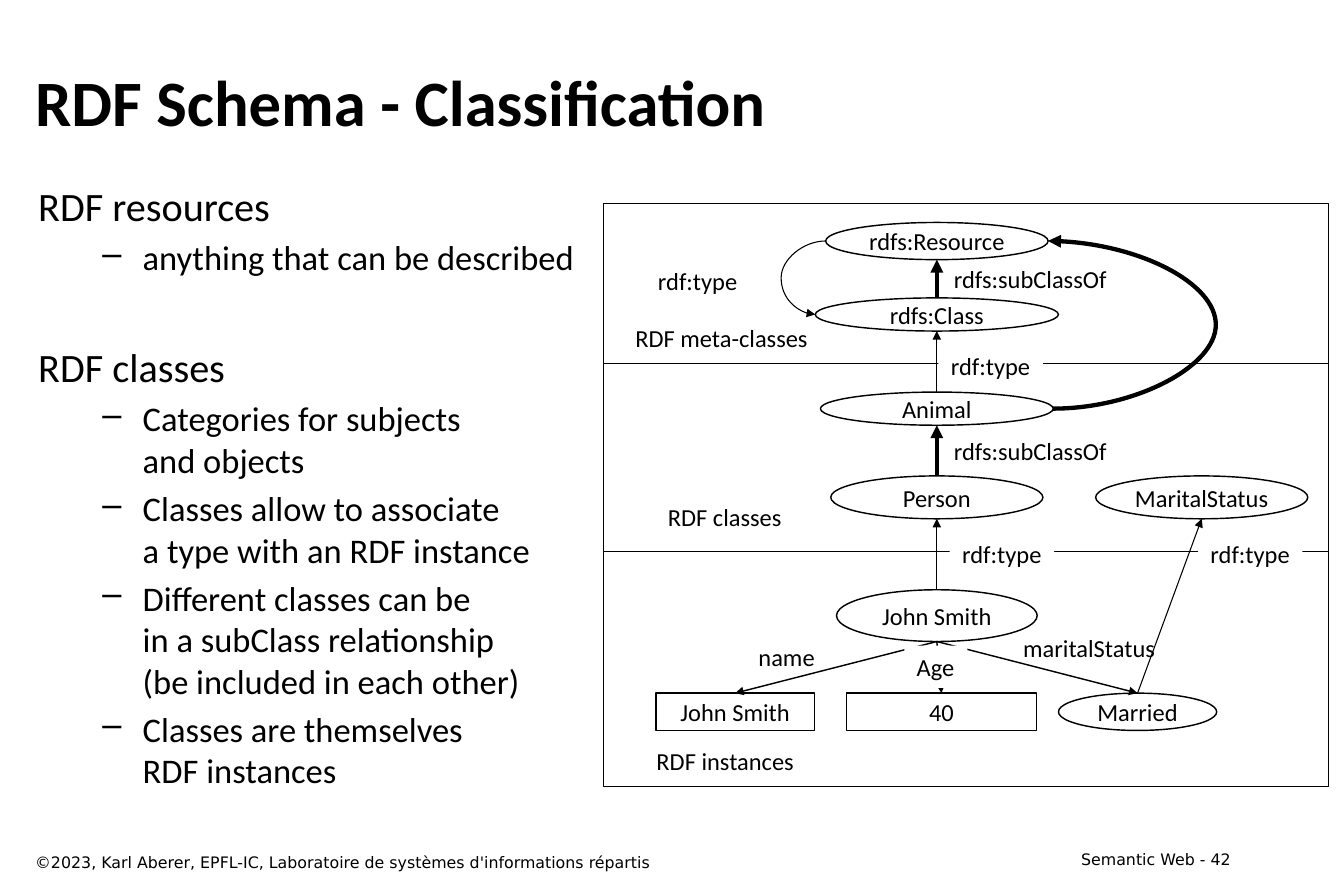
from collections import namedtuple
from dataclasses import dataclass

from lxml import etree
from pptx import Presentation
from pptx import util as u
from pptx.dml.color import RGBColor
from pptx.enum import shapes, text
from pptx.oxml import ns

Node = namedtuple("Node", "shape top bottom left right")


@dataclass(frozen=True)
class Theme:
    ink: RGBColor = RGBColor(0, 0, 0)
    paper: RGBColor = RGBColor(255, 255, 255)
    face: str = "Calibri"
    footer_face: str = "DejaVu Sans"
    title: int = 45
    heading: int = 28
    item: int = 24
    diagram: int = 17
    footer: int = 11
    thin: float = 0.75
    outline: float = 1
    thick: float = 3


class DiagramPage:
    """Draws styled elements on one slide, measured on a 120 by 80 grid."""

    def __init__(self, deck, theme):
        self.theme = theme
        self.column = deck.slide_width / 120
        self.row = deck.slide_height / 80
        self.page = deck.slides.add_slide(deck.slide_layouts[6])

    def cols(self, count):
        return u.Emu(round(count * self.column))

    def rows(self, count):
        return u.Emu(round(count * self.row))

    def area(self, left, top, width, height):
        return self.cols(left), self.rows(top), self.cols(width), self.rows(height)

    def frame(self, shape, wrap, anchor):
        frame = shape.text_frame
        frame.word_wrap = wrap
        frame.vertical_anchor = anchor
        frame.margin_left = frame.margin_right = u.Inches(0.12)
        frame.margin_top = frame.margin_bottom = u.Inches(0.06)
        return frame

    def style(self, para, size, face=None, bold=False, align=text.PP_ALIGN.LEFT):
        para.alignment = align
        para.font.size = u.Pt(size)
        para.font.name = face or self.theme.face
        para.font.bold = bold
        para.font.color.rgb = self.theme.ink

    def text(self, words, area, size, wrap=True, anchor=text.MSO_ANCHOR.TOP, fill=False, **look):
        box = self.page.shapes.add_textbox(*self.area(*area))
        if fill:
            box.fill.solid()
            box.fill.fore_color.rgb = self.theme.paper
        para = self.frame(box, wrap, anchor).paragraphs[0]
        para.text = words
        self.style(para, size, **look)

    def label(self, words, left, top, width, **look):
        self.text(words, (left, top, width, 3.79), self.theme.diagram, wrap=False, **look)

    def outline(self, sections, area):
        box = self.page.shapes.add_textbox(*self.area(*area))
        frame = self.frame(box, True, text.MSO_ANCHOR.TOP)
        for number, (heading, items) in enumerate(sections):
            para = frame.add_paragraph() if number else frame.paragraphs[0]
            para.text = heading
            para.space_before = u.Pt(45 if number else 0)
            self.style(para, self.theme.heading)
            for item in items:
                self.bullet(frame.add_paragraph(), item)

    def bullet(self, para, words):
        para.text = words
        props = para._p.get_or_add_pPr()
        props.set("marL", str(self.cols(9.33)))
        props.set("indent", str(-self.cols(3.6)))
        etree.SubElement(props, ns.qn("a:buChar"), char="–")
        para.space_before = u.Pt(4.8)
        self.style(para, self.theme.item)

    def panel(self, left, top, width, bottom):
        shape = self.page.shapes.add_shape(
            shapes.MSO_SHAPE.RECTANGLE, *self.area(left, top, width, bottom - top))
        shape.shadow.inherit = False
        shape.fill.background()
        shape.line.color.rgb = self.theme.ink
        shape.line.width = u.Pt(self.theme.thin)

    def node(self, words, middle, top, width, height, kind=shapes.MSO_SHAPE.OVAL):
        left = middle - width / 2
        shape = self.page.shapes.add_shape(kind, *self.area(left, top, width, height))
        shape.shadow.inherit = False
        shape.fill.solid()
        shape.fill.fore_color.rgb = self.theme.paper
        shape.line.color.rgb = self.theme.ink
        shape.line.width = u.Pt(self.theme.outline)
        para = self.frame(shape, False, text.MSO_ANCHOR.MIDDLE).paragraphs[0]
        para.text = words
        self.style(para, self.theme.diagram, align=text.PP_ALIGN.CENTER)
        center = top + height / 2
        return Node(shape, (middle, top), (middle, top + height),
                    (left, center), (left + width, center))

    def arrow(self, start, end, weight, bend=None, target=None):
        kind = shapes.MSO_CONNECTOR.STRAIGHT if bend is None else shapes.MSO_CONNECTOR.CURVE
        line = self.page.shapes.add_connector(
            kind, self.cols(start[0]), self.rows(start[1]), self.cols(end[0]), self.rows(end[1]))
        if target:
            line.end_connect(target.shape, 0)
        line.line.color.rgb = self.theme.ink
        line.line.width = u.Pt(weight)
        props = line._element.spPr
        etree.SubElement(line.line._get_or_add_ln(), ns.qn("a:tailEnd"), type="triangle")
        etree.SubElement(props, ns.qn("a:effectLst"))
        if bend is not None:
            share = round((bend - start[0]) / (end[0] - start[0]) * 100000)
            guides = props.find(ns.qn("a:prstGeom")).get_or_add_avLst()
            etree.SubElement(guides, ns.qn("a:gd"), name="adj1", fmla=f"val {share}")


def main():
    deck = Presentation()
    deck.slide_width, deck.slide_height = u.Inches(12.99), u.Inches(8.66)
    theme = Theme()
    page = DiagramPage(deck, theme)

    page.text("RDF Schema - Classification", (2.03, 3.6, 109, 10.72), theme.title,
              anchor=text.MSO_ANCHOR.MIDDLE, bold=True)
    page.outline([
        ("RDF resources", ["anything that can be described"]),
        ("RDF classes", [
            "Categories for subjects\vand objects",
            "Classes allow to associate\va type with an RDF instance",
            "Different classes can be\vin a subClass relationship\v(be included in each other)",
            "Classes are themselves\vRDF instances",
        ]),
    ], (2.31, 15.61, 109, 58.66))

    borders = [18.2, 32.45, 49.24, 70.2]
    for top, bottom in zip(borders, borders[1:]):
        page.panel(53.86, top, 64.76, bottom)

    box = shapes.MSO_SHAPE.FLOWCHART_PROCESS
    axis, leaf_top, leaf_height = 83.65, 61.89, 3.33
    resource = page.node("rdfs:Resource", axis, 19.86, 19.86, 3.32)
    meta_class = page.node("rdfs:Class", axis, 26.6, 21.71, 2.96)
    animal = page.node("Animal", axis, 35.01, 20.79, 2.96)
    person = page.node("Person", axis, 42.49, 18.94, 3.83)
    status = page.node("MaritalStatus", 107.3, 42.49, 18.94, 3.83)
    john = page.node("John Smith", axis, 52.66, 17.92, 4.62)
    name = page.node("John Smith", 65.64, leaf_top, 14.13, leaf_height, box)
    age = page.node("40", 84.06, leaf_top, 17, leaf_height, box)
    married = page.node("Married", 101.57, leaf_top, 14.13, leaf_height)

    for leaf in (name, age, married):
        page.arrow(john.bottom, leaf.top, theme.outline, target=leaf)
    for lower, upper, weight in (
        (john, person, theme.thin),
        (person, animal, theme.thick),
        (animal, meta_class, theme.thin),
        (meta_class, resource, theme.thick),
        (married, status, theme.thin),
    ):
        page.arrow(lower.top, upper.bottom, weight)
    page.arrow(animal.right, resource.right, theme.thick, bend=108.55)
    page.arrow(resource.left, meta_class.left, theme.thin, bend=69.75)

    for left, top in ((83.79, 30.76), (84.8, 47.58), (106.97, 47.58), (57.64, 23.19)):
        page.label("rdf:type", left, top, 9.33, fill=True)
    for top in (23, 38.34):
        page.label("rdfs:subClassOf", 84.06, top, 16.35)
    page.label("Age", 80.74, 57.64, 5.64, fill=True)
    page.label("name", 66.61, 56.81, 7.3)
    page.label("maritalStatus", 90.25, 55.98, 14.04)
    for words, left, top, width in (
        ("RDF meta-classes", 55.33, 28.27, 18.2),
        ("RDF classes", 58.48, 44.25, 12.47),
        ("RDF instances", 57.18, 66.05, 15.15),
    ):
        page.label(words, left, top, width, align=text.PP_ALIGN.CENTER)

    page.text("©2023, Karl Aberer, EPFL-IC, Laboratoire de systèmes d'informations répartis",
              (2.03, 75.57, 77.04, 2.68), theme.footer, face=theme.footer_face)
    page.text("Semantic Web - 42", (86, 75.29, 25.03, 2.68), theme.footer,
              face=theme.footer_face, align=text.PP_ALIGN.RIGHT)
    deck.save("out.pptx")


if __name__ == "__main__":
    main()
